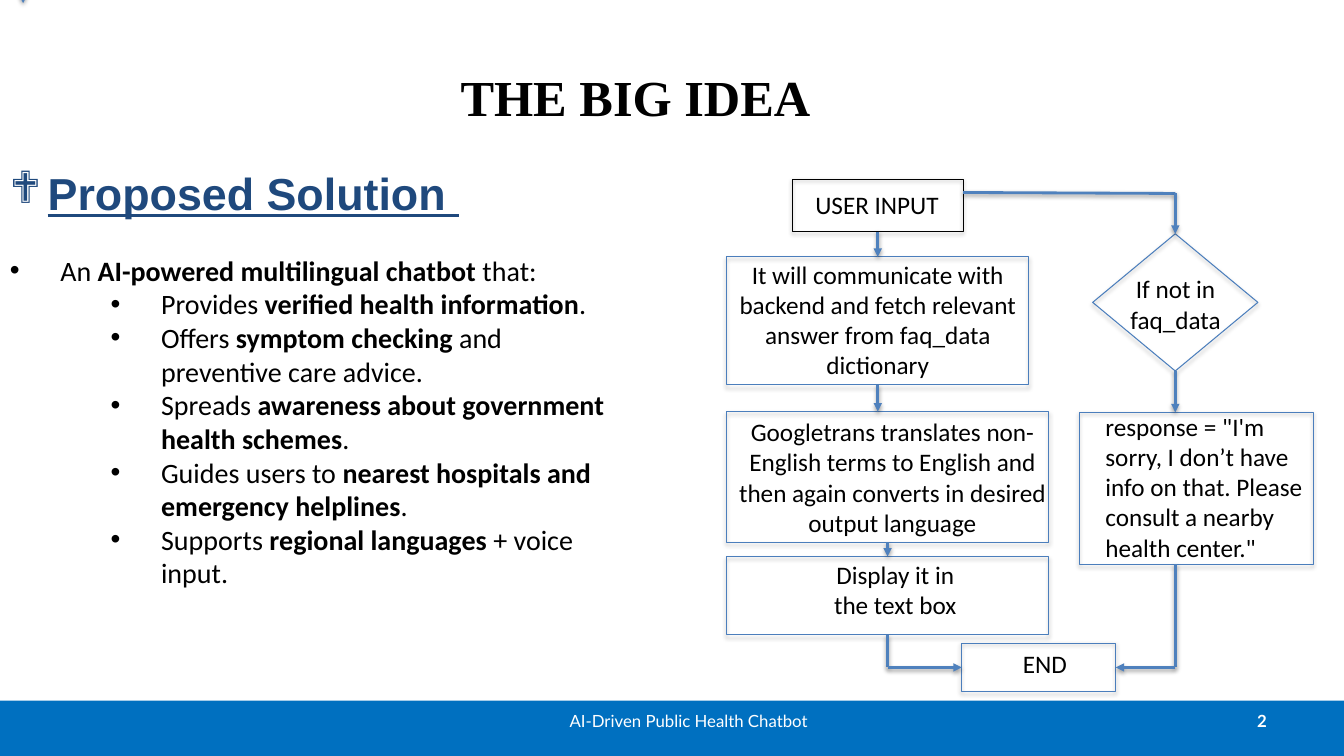
from collections import namedtuple

from lxml import etree
from pptx import Presentation
from pptx.dml.color import RGBColor
from pptx.enum.shapes import MSO_CONNECTOR, MSO_SHAPE
from pptx.enum.text import MSO_ANCHOR, PP_ALIGN
from pptx.oxml.ns import qn
from pptx.util import Pt

Box = namedtuple("Box", "left top width height")
SLIDE = Box(0, 0, 960, 540)
BLACK, WHITE, NAVY = "000000", "FFFFFF", "1F497D"
BAND_BLUE, OUTLINE_BLUE, ARROW_BLUE = "0070C0", "4B7EBC", "4F81BD"


def color(hex_string):
    return RGBColor.from_string(hex_string)


def lengths(box):
    return [Pt(value) for value in box]


def within(area, left, top, width, height):
    return Box(area.left + left, area.top + top, width, height)


def add_shadow(part, blur, distance, opacity, shade=BLACK):
    """Give the part a soft shadow that falls straight down."""
    effects = etree.SubElement(part._element.spPr, qn("a:effectLst"))
    shadow = etree.SubElement(
        effects, qn("a:outerShdw"), blurRad=str(Pt(blur)), dist=str(Pt(distance)),
        dir="5400000", rotWithShape="0")
    tint = etree.SubElement(shadow, qn("a:srgbClr"), val=shade)
    etree.SubElement(tint, qn("a:alpha"), val=str(opacity * 1000))


def add_run(paragraph, wording, size, font="Calibri", shade=BLACK, bold=False, underline=False):
    run = paragraph.add_run()
    run.text = wording
    run.font.size = Pt(size)
    run.font.name = font
    run.font.color.rgb = color(shade)
    run.font.bold = bold
    run.font.underline = underline


def add_frame(slide, box, anchor=MSO_ANCHOR.TOP):
    frame = slide.shapes.add_textbox(*lengths(box)).text_frame
    frame.word_wrap = True
    frame.vertical_anchor = anchor
    return frame


def add_label(slide, box, wording, size, align=PP_ALIGN.CENTER, anchor=MSO_ANCHOR.TOP, **style):
    """Place a single paragraph in one style."""
    paragraph = add_frame(slide, box, anchor).paragraphs[0]
    paragraph.alignment = align
    add_run(paragraph, wording, size, **style)


def set_bullet(paragraph, symbol, font, margin, hang):
    properties = paragraph._p.get_or_add_pPr()
    properties.set("marL", str(Pt(margin)))
    properties.set("indent", str(Pt(-hang)))
    etree.SubElement(properties, qn("a:buFont"), typeface=font)
    etree.SubElement(properties, qn("a:buChar"), char=symbol)


def add_title(slide, box):
    add_label(slide, box, "THE BIG IDEA", 36, anchor=MSO_ANCHOR.MIDDLE,
              font="Times New Roman", bold=True)


def add_solution(slide, box):
    frame = add_frame(slide, box)
    heading = frame.paragraphs[0]
    add_run(heading, "Proposed Solution ", 32, "Arial", NAVY, bold=True, underline=True)
    set_bullet(heading, "❖", "Wingdings", 27, 27)

    points = [
        (0, "An ", "AI-powered multilingual chatbot", " that:"),
        (2, "Provides ", "verified health information", "."),
        (2, "Offers ", "symptom checking", " and preventive care advice."),
        (2, "Spreads ", "awareness about government health schemes", "."),
        (2, "Guides users to ", "nearest hospitals and emergency helplines", "."),
        (2, "Supports ", "regional languages", " + voice input."),
    ]
    for level, opening, emphasis, ending in points:
        point = frame.add_paragraph()
        point.level = level
        if level == 0:
            point.space_before = Pt(24)
        add_run(point, opening, 20)
        add_run(point, emphasis, 20, bold=True)
        add_run(point, ending, 20)
        set_bullet(point, "•", "Arial", 36 + 36 * level, 36)


def add_node(slide, outline, caption, wording, preset=MSO_SHAPE.RECTANGLE,
             edge=OUTLINE_BLUE, align=PP_ALIGN.CENTER):
    """Draw a flowchart step and return its outline box."""
    add_label(slide, caption, wording, 18, align)
    node = slide.shapes.add_shape(preset, *lengths(outline))
    node.fill.background()
    node.line.color.rgb = color(edge)
    node.line.width = Pt(0.75)
    add_shadow(node, 3.1, 1.8, 35)
    return outline


def add_link(slide, start, end, arrow=True):
    link = slide.shapes.add_connector(MSO_CONNECTOR.STRAIGHT, *lengths(start + end))
    link.line.color.rgb = color(ARROW_BLUE)
    link.line.width = Pt(2)
    if arrow:
        etree.SubElement(link.line._get_or_add_ln(), qn("a:tailEnd"), type="triangle")
    add_shadow(link, 3.1, 1.6, 38)


def bottom(box):
    return box.top + box.height


def add_flowchart(slide, area):
    def node(outline, caption, wording, **style):
        return add_node(slide, within(area, *outline), within(area, *caption), wording, **style)

    user = node((47, 0, 122, 37.4), (38, 4, 139, 29), "USER INPUT", edge=BLACK)
    fetch = node((0, 55.5, 216, 91.5), (0, 53.5, 216, 94),
                 "It will communicate with backend and fetch relevant answer "
                 "from faq_data dictionary")
    translate = node((0, 166, 230, 93.5), (-2, 166, 241, 94),
                     "Googletrans translates non-English terms to English and then "
                     "again converts in desired output language")
    display = node((0, 269.5, 230, 56), (58.5, 268, 124, 51), "Display it in the text box")
    unknown = node((261.5, 39, 118, 98), (274, 64, 93.5, 48), "If not in faq_data",
                   preset=MSO_SHAPE.DIAMOND)
    apology = node((252, 166.5, 167, 108.5), (263.5, 162, 166.5, 138),
                   "response = \"I'm sorry, I don’t have info on that. Please consult "
                   "a nearby health center.\"", align=PP_ALIGN.LEFT)
    finish = node((168, 331.5, 110, 34.5), (204.5, 331.5, 73.5, 29), "END",
                  align=PP_ALIGN.LEFT)

    upper_x = user.left + user.width / 2
    lower_x = display.left + display.width / 2
    branch_x = unknown.left + unknown.width / 2
    branch_y = user.top + 9.5
    finish_y = finish.top + finish.height / 2
    for x, source, target in [
        (upper_x, user, fetch),
        (upper_x, fetch, translate),
        (lower_x, translate, display),
        (branch_x, unknown, apology),
    ]:
        add_link(slide, (x, bottom(source)), (x, target.top))

    add_link(slide, (user.left + user.width, branch_y), (branch_x, branch_y + 0.7), arrow=False)
    add_link(slide, (branch_x, branch_y + 0.7), (branch_x, unknown.top))
    for x, source, finish_x in [
        (branch_x, apology, finish.left + finish.width),
        (lower_x, display, finish.left),
    ]:
        add_link(slide, (x, bottom(source)), (x, finish_y), arrow=False)
        add_link(slide, (x, finish_y), (finish_x, finish_y))


def add_footer(slide, box):
    band = slide.shapes.add_shape(MSO_SHAPE.RECTANGLE, *lengths(box))
    band.fill.solid()
    band.fill.fore_color.rgb = color(BAND_BLUE)
    band.line.fill.background()
    add_shadow(band, 0, 1.8, 35, "808080")
    style = dict(anchor=MSO_ANCHOR.MIDDLE, font="Lato", shade=WHITE)
    add_label(slide, within(box, 688, 0, 224, 29), "2", 12, PP_ALIGN.RIGHT, bold=True, **style)
    add_label(slide, within(box, 366, 0, 252, 29), "AI-Driven Public Health Chatbot", 12, **style)


def main():
    deck = Presentation()
    deck.slide_width, deck.slide_height = Pt(SLIDE.width), Pt(SLIDE.height)
    slide = deck.slides.add_slide(deck.slide_layouts[6])
    add_footer(slide, Box(0, 500.4, SLIDE.width, 39.6))
    add_title(slide, Box(22, 46, 864, 46))
    add_solution(slide, Box(0, 115, 441, 371))
    add_flowchart(slide, Box(519, 128, 419, 366))
    add_link(slide, (16.5, 2), (16.5, 2.2))
    deck.save("out.pptx")


if __name__ == "__main__":
    main()
